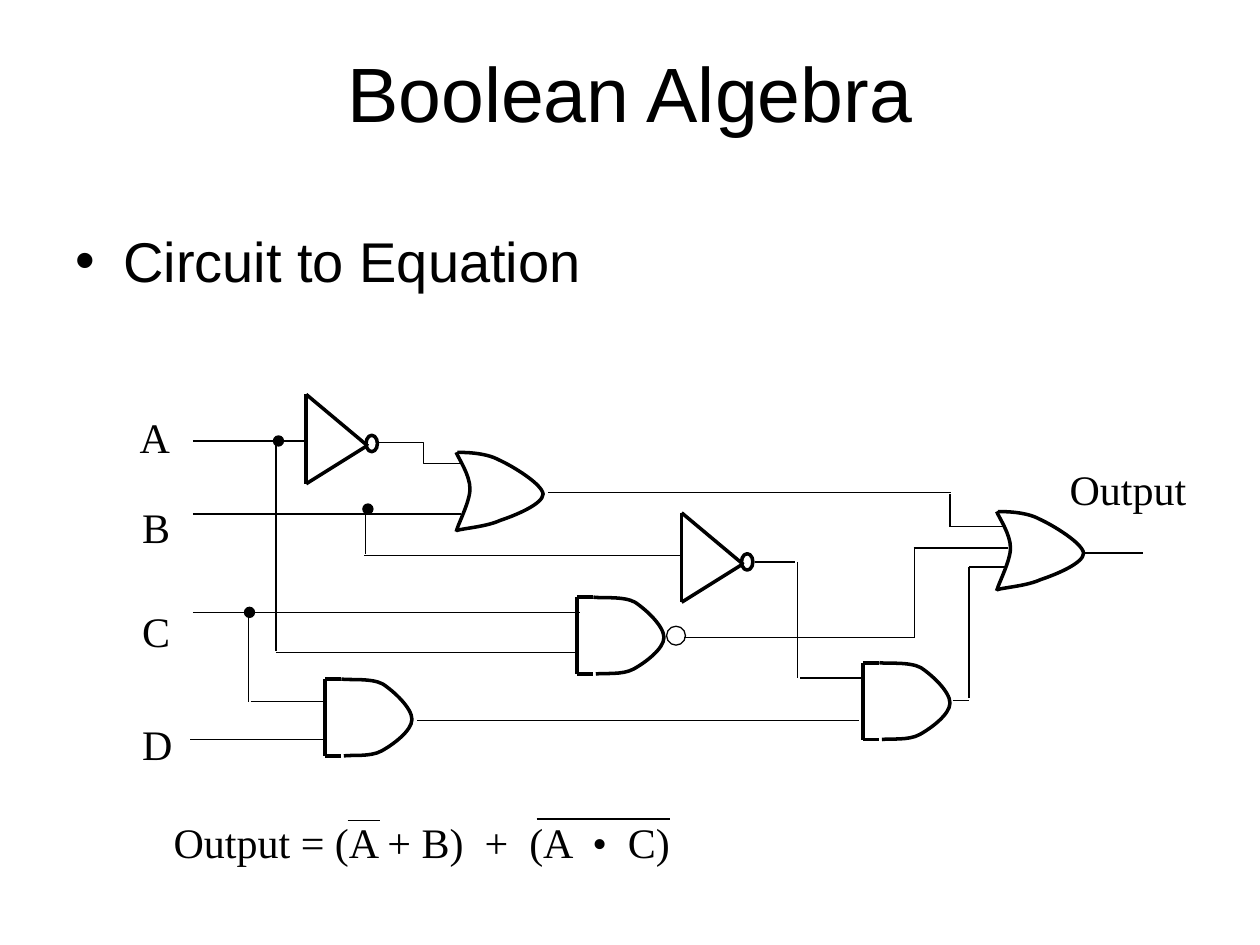
from lxml import etree
from pptx import Presentation
from pptx.dml.color import RGBColor
from pptx.enum.shapes import MSO_CONNECTOR, MSO_SHAPE
from pptx.enum.text import PP_ALIGN
from pptx.oxml.ns import qn
from pptx.util import Inches, Pt

STRAIGHT = MSO_CONNECTOR.STRAIGHT
OVAL = MSO_SHAPE.OVAL
LEFT, CENTER = PP_ALIGN.LEFT, PP_ALIGN.CENTER
COLUMNS, ROWS = 100, 75
WIRE, GATE = 0.75, 2

AND_CURVE = [(1.3, 0), (1.9, 0.1), (3.7, -0.1), (4.6, 0.4), (5.5, 1), (6.9, 2.3), (6.9, 3.2),
             (6.9, 4.1), (5.4, 5.2), (4.5, 5.7), (3.6, 6.2), (2.1, 6), (1.5, 6.1)]
OR_BACK = [(0, 0), (0.2, 0.5), (1.1, 1.8), (1.1, 2.9), (1.1, 3.9), (0.2, 5.6), (0, 6.3)]
OR_FRONT = [(0.1, 0), (0.6, 0), (2.3, 0), (3.4, 0.6), (4.5, 1.1), (6.8, 2.5), (6.9, 3.3),
            (6.9, 4.1), (4.7, 5), (3.5, 5.4), (2.4, 5.9), (0.8, 6), (0, 6.2)]

INPUTS = [("A", 10.1, 32.2), ("B", 10.3, 39.3), ("C", 10.3, 47.6), ("D", 10.3, 56.5)]
INVERTERS = [(54.1, 40.7), (24.3, 31.3)]
AND_GATES = [(25.8, 53.9), (45.8, 47.4), (68.5, 52.6)]
OR_GATES = [(36.2, 35.9), (79.1, 40.6)]
JUNCTIONS = [(28.8, 40), (19.4, 48.2), (21.7, 34.6)]
WIRES = [
    (15.3, 40.8, 36.6, 40.8), (15.3, 35, 24.2, 35), (43.5, 39.1, 75.5, 39.1),
    (28.9, 44.1, 54.2, 44.1), (15.1, 58.7, 25.6, 58.7), (15.3, 48.6, 46, 48.6),
    (19.7, 48.6, 19.7, 55.7), (19.9, 55.7, 25.6, 55.7), (29, 40.8, 29, 44),
    (33.1, 57.2, 68.2, 57.2), (59.9, 44.6, 63.1, 44.6), (63.3, 44.6, 63.3, 53.8),
    (63.5, 53.8, 68.3, 53.8), (54.3, 50.6, 72.5, 50.6), (72.6, 50.6, 72.6, 43.6),
    (72.5, 43.5, 80, 43.5), (75.4, 39.2, 75.4, 41.8), (75.4, 41.8, 79.7, 41.8),
    (75.6, 55.6, 76.9, 55.6), (76.9, 55.4, 76.9, 45), (76.9, 45, 79.9, 45),
    (86.1, 43.9, 90.7, 43.9), (21.9, 35, 21.9, 51.7), (21.9, 51.8, 45.8, 51.8),
]
STEPPED_WIRE = [(30, 35.1), (33.6, 35.1), (33.6, 36.8), (36.5, 36.8)]
OVERLINES = [(27.6, 65.1, 30.2, 65.1), (42.6, 65, 53.2, 65)]


def color(value):
    return RGBColor.from_string(value)


def bend(shape):
    """Turn every three line segments of an outline into one cubic curve."""
    segments = list(shape._element.iter(qn("a:lnTo")))
    for first in range(0, len(segments), 3):
        triple = segments[first:first + 3]
        curve = etree.Element(qn("a:cubicBezTo"))
        triple[0].addprevious(curve)
        for segment in triple:
            curve.append(segment[0])
            segment.getparent().remove(segment)


class CircuitPage:
    """Draws text, wires and logic gates on one slide in a shared style."""

    def __init__(self, deck):
        self.page = deck.slides.add_slide(deck.slide_layouts[6])
        self.shapes = self.page.shapes
        self.column = deck.slide_width / COLUMNS
        self.row = deck.slide_height / ROWS
        self.ink = color("000000")

    def x(self, columns):
        return round(columns * self.column)

    def y(self, rows):
        return round(rows * self.row)

    def group(self):
        self.shapes = self.page.shapes.add_group_shape().shapes

    def ungroup(self):
        self.shapes = self.page.shapes

    def stroke(self, shape, width):
        shape.line.color.rgb = self.ink
        shape.line.width = Pt(width)

    def text(self, words, left, top, width, height, size=24, font="Times New Roman",
             align=LEFT, bullet=None):
        box = self.shapes.add_textbox(self.x(left), self.y(top), self.x(width), self.y(height))
        frame = box.text_frame
        frame.word_wrap = True
        para = frame.paragraphs[0]
        para.alignment = align
        if bullet:
            properties = para._p.get_or_add_pPr()
            properties.set("marL", str(Inches(0.38)))
            properties.set("indent", str(-Inches(0.38)))
            etree.SubElement(properties, qn("a:buFont")).set("typeface", font)
            etree.SubElement(properties, qn("a:buChar")).set("char", bullet)
        span = para.add_run()
        span.text = words
        span.font.size = Pt(size)
        span.font.name = font
        span.font.color.rgb = self.ink

    def line(self, x1, y1, x2, y2, width=WIRE):
        wire = self.shapes.add_connector(STRAIGHT, self.x(x1), self.y(y1), self.x(x2), self.y(y2))
        self.stroke(wire, width)
        etree.SubElement(wire._element.spPr, qn("a:effectLst"))

    def outline(self, points, left=0, top=0, width=GATE):
        placed = [(self.x(left + dx), self.y(top + dy)) for dx, dy in points]
        builder = self.shapes.build_freeform(*placed[0], scale=1.0)
        builder.add_line_segments(placed[1:], close=False)
        shape = builder.convert_to_shape()
        shape.shadow.inherit = False
        shape.fill.background()
        self.stroke(shape, width)
        return shape

    def circle(self, left, top, width, height, line=WIRE, filled=False):
        shape = self.shapes.add_shape(OVAL, self.x(left), self.y(top), self.x(width), self.y(height))
        shape.shadow.inherit = False
        if filled:
            shape.fill.solid()
            shape.fill.fore_color.rgb = self.ink
        else:
            shape.fill.background()
        self.stroke(shape, line)

    def inverter(self, left, top):
        self.group()
        for x1, y1, x2, y2 in ((0, 7.1, 4.8, 4.1), (0, 0, 0, 7.1), (0, 0, 4.9, 4.1)):
            self.line(left + x1, top + y1, left + x2, top + y2, GATE)
        self.circle(left + 4.75, top + 3.25, 0.9, 1.3, GATE)
        self.ungroup()

    def and_gate(self, left, top):
        self.group()
        self.line(left, top, left, top + 6.1, GATE)
        bend(self.outline(AND_CURVE, left, top))
        for edge in (top, top + 6.1):
            self.line(left, edge, left + 1.3, edge, GATE)
        self.ungroup()

    def or_gate(self, left, top):
        self.group()
        for curve in (OR_BACK, OR_FRONT):
            bend(self.outline(curve, left, top))
        self.ungroup()


def main():
    deck = Presentation()
    deck.slide_width, deck.slide_height = Inches(10), Inches(7.5)
    page = CircuitPage(deck)
    page.text("Boolean Algebra", 5, 3.1, 90, 10.3, 44, "Arial", CENTER)
    page.text("Circuit to Equation", 5, 17.5, 90, 49.5, 32, "Arial", bullet="•")
    for name, left, top in INPUTS:
        page.text(name, left, top, 6.2, 5)
    for draw, places in ((page.inverter, INVERTERS), (page.and_gate, AND_GATES),
                         (page.or_gate, OR_GATES), (page.line, WIRES)):
        for place in places:
            draw(*place)
    page.outline(STEPPED_WIRE, width=WIRE)
    page.circle(52.9, 49.7, 1.5, 1.5)
    for left, top in JUNCTIONS:
        page.circle(left, top, 0.8, 0.8, filled=True)
    page.text("Output", 83.9, 36.3, 14.4, 5)
    page.group()
    page.text("Output = (A + B)  +  (A  •  C)", 12.8, 64.3, 80.6, 5)
    for overline in OVERLINES:
        page.line(*overline)
    page.ungroup()
    deck.save("out.pptx")


if __name__ == "__main__":
    main()
